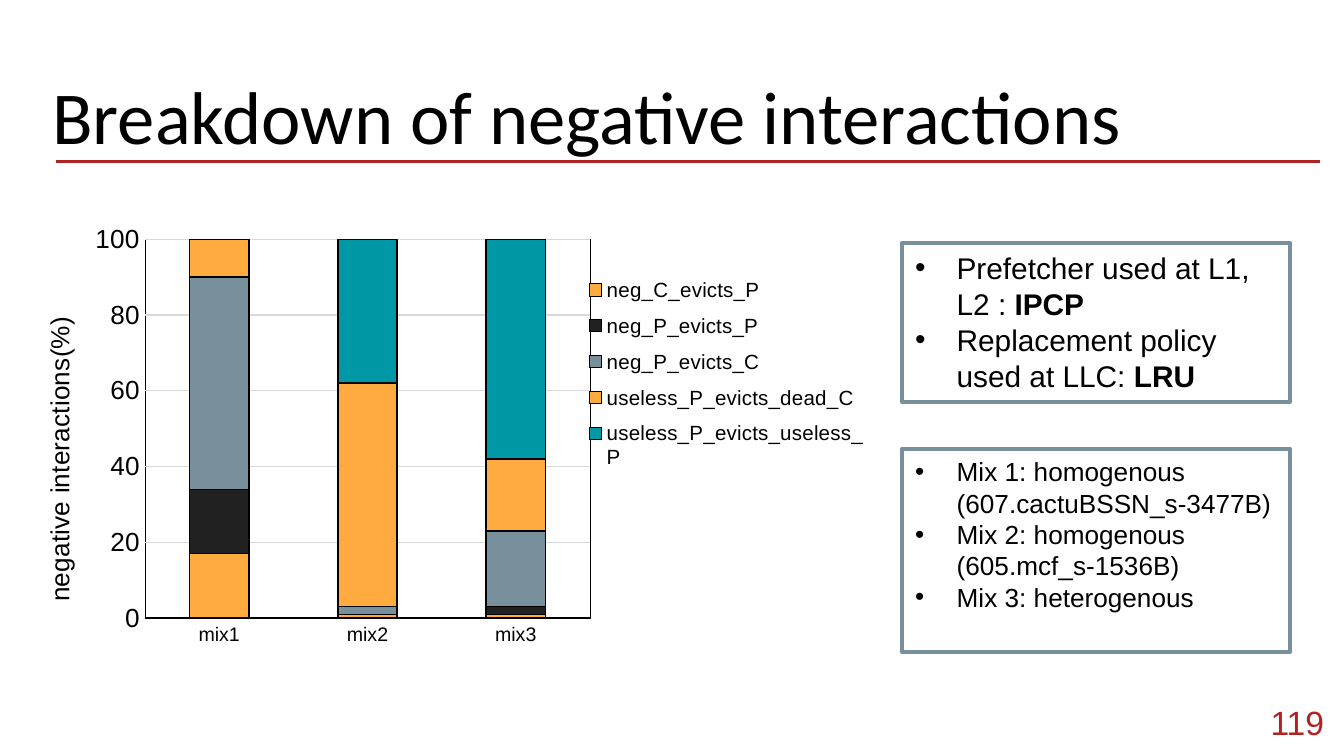
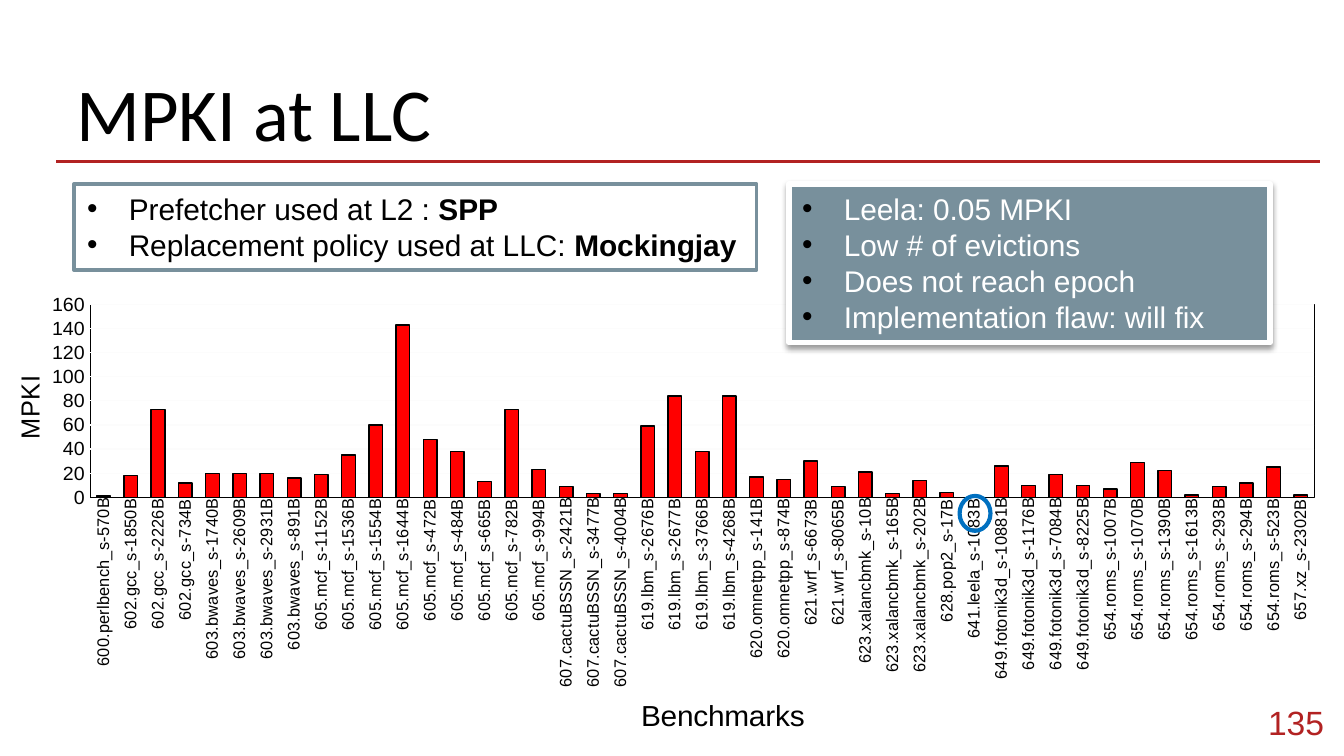
from lxml.etree import SubElement
from pptx import Presentation
from pptx.chart.data import CategoryChartData
from pptx.dml.color import RGBColor
from pptx.enum.chart import XL_CHART_TYPE as ChartType, XL_LEGEND_POSITION as LegendPosition
from pptx.enum.chart import XL_TICK_MARK as TickMark
from pptx.enum.shapes import MSO_CONNECTOR as Connector, MSO_SHAPE as Shape
from pptx.enum.text import MSO_ANCHOR as Anchor, MSO_AUTO_SIZE as AutoSize, PP_ALIGN as Align
from pptx.oxml.ns import qn
from pptx.util import Inches, Pt

COLORS = {
    "black": "000000", "white": "FFFFFF", "brick": "B22222", "slate": "78909C",
    "amber": "FFAB40", "charcoal": "212121", "teal": "0097A7", "red": "FF0000",
    "blue": "0070C0", "grid": "D9D9D9", "faint grid": "FCFCFC",
}
BODY_FONT, TITLE_FONT = "Arial", "Calibri"

MIXES = ["mix1", "mix2", "mix3"]
INTERACTIONS = [
    ("neg_C_evicts_P", (17, 1, 1), "amber"),
    ("neg_P_evicts_P", (17, 0, 2), "charcoal"),
    ("neg_P_evicts_C", (56, 2, 20), "slate"),
    ("useless_P_evicts_dead_C", (10, 59, 19), "amber"),
    ("useless_P_evicts_useless_P", (0, 38, 58), "teal"),
]

# MPKI of each trace, grouped by benchmark
MPKI = {
    "600.perlbench": {570: 1},
    "602.gcc": {1850: 18, 2226: 73, 734: 12},
    "603.bwaves": {1740: 20, 2609: 20, 2931: 20, 891: 16},
    "605.mcf": {1152: 19, 1536: 35, 1554: 60, 1644: 143, 472: 48,
                484: 38, 665: 13, 782: 73, 994: 23},
    "607.cactuBSSN": {2421: 9, 3477: 3, 4004: 3},
    "619.lbm": {2676: 59, 2677: 84, 3766: 38, 4268: 84},
    "620.omnetpp": {141: 17, 874: 15},
    "621.wrf": {6673: 30, 8065: 9},
    "623.xalancbmk": {10: 21, 165: 3, 202: 14},
    "628.pop2": {17: 4},
    "641.leela": {1083: 0},
    "649.fotonik3d": {10881: 26, 1176: 10, 7084: 19, 8225: 10},
    "654.roms": {1007: 7, 1070: 29, 1390: 22, 1613: 2, 293: 9, 294: 12, 523: 25},
    "657.xz": {2302: 2},
}


def color(name):
    return RGBColor.from_string(COLORS[name])


def inches(box):
    return [Inches(length) for length in box]


def style_font(font, size, name="black", face=BODY_FONT, bold=False):
    font.name, font.size, font.bold = face, Pt(size), bold
    font.color.rgb = color(name)


def style_line(line, name, width):
    line.color.rgb = color(name)
    line.width = Pt(width)


def set_margins(frame, margin):
    frame.margin_left = frame.margin_right = Inches(margin)
    frame.margin_top = frame.margin_bottom = Inches(margin)


# Parts shared by both slides
def add_page(deck, title, title_at, number):
    page = deck.slides.add_slide(deck.slide_layouts[5])
    rule = page.shapes.add_connector(Connector.STRAIGHT, *inches((0.42, 1.2, 9.82, 1.2)))
    style_line(rule.line, "brick", 1.5)
    SubElement(rule._element.spPr, qn("a:effectLst"))

    heading = page.shapes.title
    heading.left, heading.top, heading.width, heading.height = inches((*title_at, 9.32, 0.97))
    frame = heading.text_frame
    frame.text = title
    frame.vertical_anchor = Anchor.TOP
    frame.auto_size = AutoSize.NONE
    set_margins(frame, 0.1)
    frame.paragraphs[0].alignment = Align.LEFT
    style_font(frame.paragraphs[0].runs[0].font, 40, face=TITLE_FONT)

    frame = page.shapes.add_textbox(*inches((9.25, 5.16, 0.7, 0.43))).text_frame
    frame.text = number
    frame.word_wrap = True
    frame.vertical_anchor = Anchor.MIDDLE
    set_margins(frame, 0.1)
    frame.paragraphs[0].alignment = Align.RIGHT
    style_font(frame.paragraphs[0].runs[0].font, 18, "brick")
    return page


def add_bullet(para):
    properties = para._p.get_or_add_pPr()
    properties.set("marL", str(Inches(0.31)))
    properties.set("indent", str(-Inches(0.31)))
    tint = SubElement(properties, qn("a:buClr"))
    SubElement(tint, qn("a:srgbClr"), val=COLORS["black"])
    SubElement(properties, qn("a:buFont"), typeface=BODY_FONT)
    SubElement(properties, qn("a:buChar"), char="•")


def add_note(page, box, items, size=16, fill="white", edge="slate", width=2, ink="black"):
    """Bordered bullet list; each item is a pair of plain and bold text."""
    note = page.shapes.add_shape(Shape.RECTANGLE, *inches(box))
    note.shadow.inherit = False
    note.fill.solid()
    note.fill.fore_color.rgb = color(fill)
    style_line(note.line, edge, width)
    frame = note.text_frame
    frame.word_wrap = True
    frame.vertical_anchor = Anchor.TOP
    for index, (plain, strong) in enumerate(items):
        para = frame.add_paragraph() if index else frame.paragraphs[0]
        para.alignment = Align.LEFT
        add_bullet(para)
        for text, bold in ((plain, False), (strong, True)):
            if text:
                span = para.add_run()
                span.text = text
                style_font(span.font, size, ink, bold=bold)
    return note


def add_shadow(shape):
    effects = shape._element.spPr.find(qn("a:effectLst"))
    outer = SubElement(effects, qn("a:outerShdw"), blurRad=str(Pt(3.1)),
                       dist=str(Pt(1.6)), dir="5400000", rotWithShape="0")
    tint = SubElement(outer, qn("a:srgbClr"), val=COLORS["black"])
    SubElement(tint, qn("a:alpha"), val="38000")


# Chart helpers
def place(parent, chart_box, part_box, inner=False):
    """Lay out a chart part; its box is in inches from the chart's corner."""
    for old in parent.findall(qn("c:layout")):
        parent.remove(old)
    layout = SubElement(parent, qn("c:layout"))
    followers = (qn("c:overlay"), qn("c:barChart"))
    follower = next((child for child in parent if child.tag in followers), None)
    if follower is not None:
        follower.addprevious(layout)
    manual = SubElement(layout, qn("c:manualLayout"))
    if inner:
        SubElement(manual, qn("c:layoutTarget"), val="inner")
    for side in "xy":
        SubElement(manual, qn(f"c:{side}Mode"), val="edge")
    for side, length, whole in zip("xywh", part_box, chart_box[2:] * 2):
        SubElement(manual, qn(f"c:{side}"), val=str(length / whole))


def add_axis_title(axis, text, size, chart_box, corner, turn="0"):
    frame = axis.axis_title.text_frame
    frame.text = text
    style_font(frame.paragraphs[0].runs[0].font, size)
    frame._txBody.bodyPr.set("rot", turn)
    frame._txBody.bodyPr.set("vert", "horz")
    place(axis.axis_title._element, chart_box, corner)


def add_columns(page, box, kind, categories, series, plot_box, gap, overlap,
                top, label_sizes, grid):
    data = CategoryChartData()
    data.categories = categories
    for name, values, _ in series:
        data.add_series(name, values)
    chart = page.shapes.add_chart(kind, *inches(box), data).chart
    chart.has_title = chart.has_legend = False
    style_font(chart.font, 10)

    plot = chart.plots[0]
    plot.vary_by_categories = False
    plot.gap_width, plot.overlap = gap, overlap
    for bars, (_, _, fill) in zip(plot.series, series):
        bars.invert_if_negative = False
        bars.format.fill.solid()
        bars.format.fill.fore_color.rgb = color(fill)
        style_line(bars.format.line, "black", 0.75)

    for axis, size in zip((chart.category_axis, chart.value_axis), label_sizes):
        axis.major_tick_mark = axis.minor_tick_mark = TickMark.NONE
        style_font(axis.tick_labels.font, size)
    style_line(chart.category_axis.format.line, "black", 0.75)
    scale = chart.value_axis
    scale.minimum_scale, scale.maximum_scale, scale.major_unit = 0, top, 20
    scale.format.line.fill.background()
    style_line(scale.major_gridlines.format.line, grid, 0.75)

    # Plot area with a thin black frame
    area = chart._chartSpace.chart.plotArea
    place(area, box, plot_box, inner=True)
    properties = SubElement(area, qn("c:spPr"))
    SubElement(properties, qn("a:noFill"))
    outline = SubElement(properties, qn("a:ln"), w=str(Pt(0.25)))
    tint = SubElement(outline, qn("a:solidFill"))
    SubElement(tint, qn("a:srgbClr"), val=COLORS["black"])
    return chart


# Slide: breakdown of negative interactions
def build_breakdown(deck):
    page = add_page(deck, "Breakdown of negative interactions", (0.29, 0.42), "119")
    add_note(page, (6.71, 1.81, 2.89, 1.18), [
        ("Prefetcher used at L1, L2 : ", "IPCP"),
        ("Replacement policy used at LLC: ", "LRU"),
    ])
    add_note(page, (6.71, 3.34, 2.89, 1.51), [
        ("Mix 1: homogenous (607.cactuBSSN_s-3477B)", ""),
        ("Mix 2: homogenous (605.mcf_s-1536B)", ""),
        ("Mix 3: heterogenous", ""),
    ], size=14)
    box = (0.25, 1.39, 6.32, 3.62)
    chart = add_columns(page, box, ChartType.COLUMN_STACKED, MIXES, INTERACTIONS,
                        (0.83, 0.39, 3.31, 2.82), 150, 100, 100, (10.5, 14), "grid")
    add_axis_title(chart.value_axis, "negative interactions(%)", 14, box,
                   (0.03, 0.93), "-5400000")
    chart.has_legend = True
    chart.legend.position = LegendPosition.BOTTOM
    chart.legend.include_in_layout = False
    style_font(chart.legend.font, 11)
    place(chart.legend._element, box, (4.13, 0.59, 2.05, 1.6))


# Slide: misses per benchmark
def build_mpki(deck):
    page = add_page(deck, "MPKI at LLC", (0.47, 0.4), "135")
    traces = {f"{bench}_s-{trace}B": value
              for bench, group in MPKI.items() for trace, value in group.items()}
    box = (-0.04, 2.09, 10.07, 3.42)
    chart = add_columns(page, box, ChartType.COLUMN_CLUSTERED,
                        list(traces), [("Series 1", list(traces.values()), "red")],
                        (0.71, 0.18, 9.11, 1.48), 100, -24, 160, (9, 10.5), "faint grid")
    labels = chart.category_axis._element.find(qn("c:txPr")).find(qn("a:bodyPr"))
    labels.set("rot", "-5400000")
    labels.set("vert", "horz")
    add_axis_title(chart.category_axis, "Benchmarks", 16, box, (4.77, 3.15))
    add_axis_title(chart.value_axis, "MPKI", 14, box, (0.1, 0.7), "-5400000")

    add_note(page, (0.55, 1.37, 5.08, 0.64), [
        ("Prefetcher used at L2 : ", "SPP"),
        ("Replacement policy used at LLC: ", "Mockingjay"),
    ])
    # Ring around the leela trace
    ring = page.shapes.add_shape(Shape.OVAL, *inches((7.14, 3.69, 0.23, 0.26)))
    ring.shadow.inherit = False
    ring.fill.background()
    style_line(ring.line, "blue", 2.25)

    findings = ["Leela: 0.05 MPKI", "Low # of evictions", "Does not reach epoch",
                "Implementation flaw: will fix"]
    note = add_note(page, (5.87, 1.37, 3.58, 1.18), [(text, "") for text in findings],
                    fill="slate", edge="white", width=3, ink="white")
    add_shadow(note)


def main():
    deck = Presentation()
    deck.slide_width = Inches(10)
    deck.slide_height = deck.slide_width * 9 // 16
    build_breakdown(deck)
    build_mpki(deck)
    deck.save("out.pptx")


if __name__ == "__main__":
    main()
